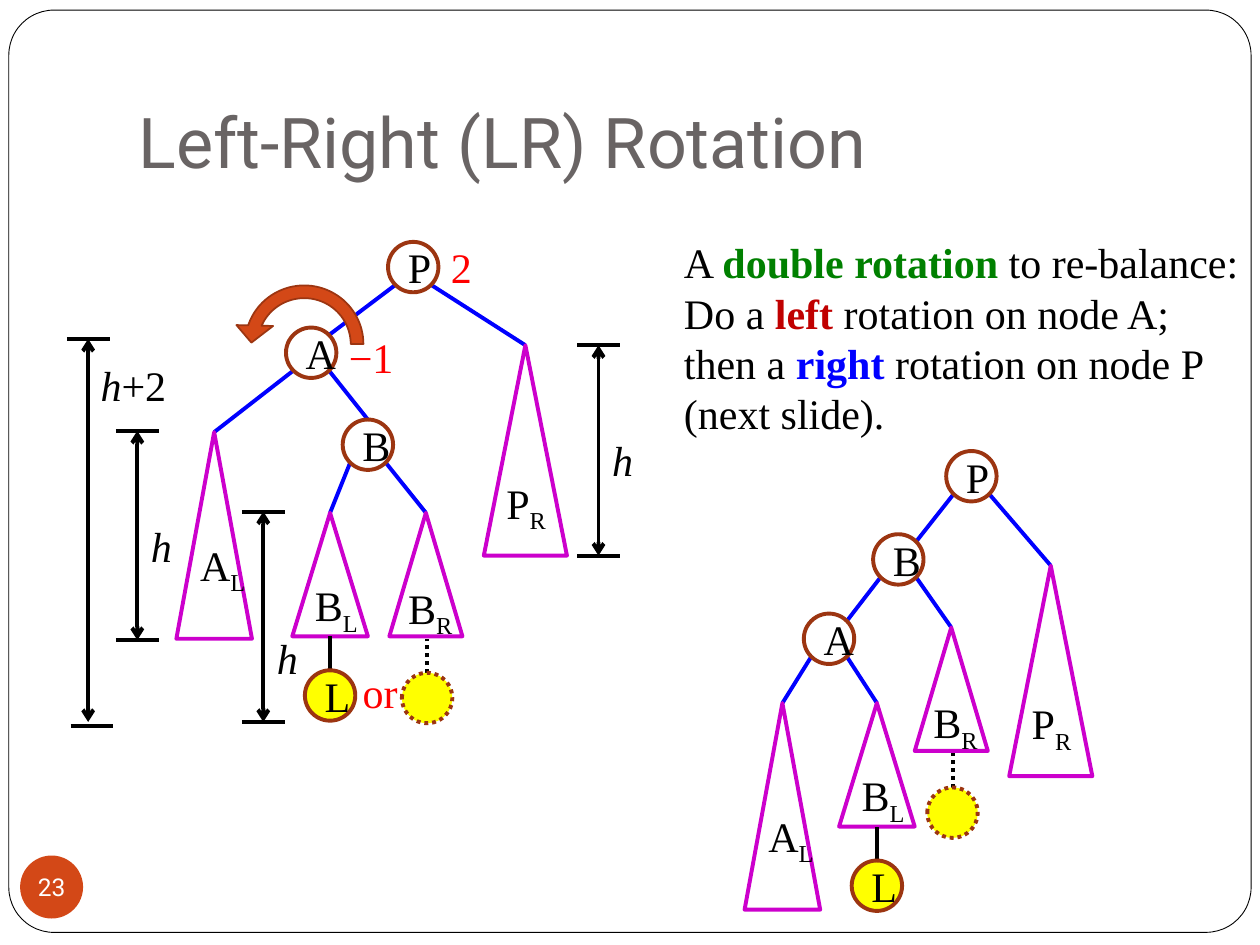
import pptx
import pptx.util
import pptx.oxml.ns
import pptx.dml.color
import pptx.enum.dml
import pptx.enum.shapes
import pptx.enum.text
import lxml.etree

SHAPE = pptx.enum.shapes.MSO_SHAPE
ANCHOR = pptx.enum.text.MSO_ANCHOR
ALIGN = pptx.enum.text.PP_ALIGN

THEME = {
    "title_font": "Roboto", "body_font": "Times New Roman",
    "title_size": 40, "body_size": 24, "number_size": 14,
    "line": 2.25, "thin": 0.5, "arrow_line": 1,
    "white": "FFFFFF", "black": "000000", "title": "696464",
    "accent": "D34817", "ring": "9C3511", "subtree": "CC00CC",
    "edge": "0000FF", "leaf": "FFFF00", "red": "FF0000",
    "green": "008000", "dark_red": "C00000", "blue": "0000FF",
}

# Content; positions are in inches and converted by length()
TITLE = "Left-Right (LR) Rotation"
PAGE_NUMBER = "23"
DESCRIPTION = [
    [("A ", {}), ("double rotation ", {"color": "green", "bold": True}),
     ("to re-balance:", {})],
    [("Do a ", {}), ("left", {"color": "dark_red", "bold": True}),
     (" rotation on node A;", {}), ("\n", {}),
     ("then a ", {}), ("right", {"color": "blue", "bold": True}),
     (" rotation on node P", {}), ("\n", {}), ("(next slide).", {})],
]

# Subtree: width, height, label offset from apex, label width
SUBTREES = {
    "AL": (0.6, 1.64, -0.21, 0.8, 0.56),
    "PR": (0.66, 1.67, -0.25, 1.0, 0.57),
    "BL": (0.6, 0.98, -0.22, 0.48, 0.55),
    "BR": (0.58, 0.98, -0.24, 0.5, 0.57),
}

# Node centres, subtree apexes, and edges with the side they arrive on
TREES = [
    {"nodes": {"P": (3.28, 2.12), "A": (2.47, 2.8), "B": (2.92, 3.53)},
     "subtrees": {"AL": (1.7, 3.43), "PR": (4.17, 2.74),
                  "BL": (2.62, 4.07), "BR": (3.38, 4.07)},
     "edges": [("P", "left", "A", "right"), ("P", "right", "PR", "top"),
               ("A", "left", "AL", "top"), ("A", "right", "B", "top"),
               ("B", "left", "BL", "top"), ("B", "right", "BR", "top")]},
    {"nodes": {"P": (7.71, 3.78), "B": (7.13, 4.44), "A": (6.58, 5.07)},
     "subtrees": {"AL": (6.21, 5.58), "PR": (8.34, 4.49),
                  "BL": (6.96, 5.58), "BR": (7.55, 4.98)},
     "edges": [("P", "left", "B", "right"), ("P", "right", "PR", "top"),
               ("B", "left", "A", "right"), ("B", "right", "BR", "top"),
               ("A", "left", "AL", "top"), ("A", "right", "BL", "top")]},
]

# Height gauges: x, top, bottom, suffix, label box, shift of the bottom cap
GAUGES = [
    (4.75, 2.74, 4.41, "", (4.76, 3.4, 0.46), (0, 0)),
    (1.09, 3.42, 5.08, "", (1.1, 4.08, 0.46), (0, 0)),
    (2.09, 4.06, 5.73, "", (2.1, 4.97, 0.46), (0, 0)),
    (0.7, 2.69, 5.73, "+2", (0.7, 2.8, 0.84), (0.03, 0.03)),
]
RED_LABELS = [("or", 2.78, 5.24, 0.51), ("−1", 2.67, 2.58, 0.58),
              ("2", 3.48, 1.87, 0.36)]

RADIUS = 0.2
DIAGONAL = 0.14
STEM = 0.27
CAP = 0.17

deck = pptx.Presentation()


def length(inches):
    return pptx.util.Cm(inches * 2.54)


deck.slide_width, deck.slide_height = length(10), length(7.5)
page = deck.slides.add_slide(deck.slide_layouts[6])


def rgb(name):
    return pptx.dml.color.RGBColor.from_string(THEME[name])


def style_span(span, color="black", size="body_size", font="body_font",
               bold=None, italic=None, baseline=None):
    span.font.name = THEME[font]
    span.font.size = pptx.util.Pt(THEME[size])
    span.font.color.rgb = rgb(color)
    span.font.bold, span.font.italic = bold, italic
    if baseline:
        span.font._element.set("baseline", str(baseline))


def style_line(line, color, width="line", dotted=False):
    line.color.rgb = rgb(color)
    line.width = pptx.util.Pt(THEME[width])
    if dotted:
        line.dash_style = pptx.enum.dml.MSO_LINE.ROUND_DOT


def add_text(left, top, width, height, paragraphs):
    box = page.shapes.add_textbox(*map(length, (left, top, width, height)))
    frame = box.text_frame
    frame.word_wrap = False
    frame.auto_size = pptx.enum.text.MSO_AUTO_SIZE.SHAPE_TO_FIT_TEXT
    for index, spans in enumerate(paragraphs):
        para = frame.add_paragraph() if index else frame.paragraphs[0]
        for text, style in spans:
            if text == "\n":
                para.add_line_break()
                continue
            span = para.add_run()
            span.text = text
            style_span(span, **style)
    return box


def add_figure(kind, left, top, width, height, fill=None, line=None,
               line_width="line", dotted=False):
    shape = page.shapes.add_shape(
        kind, *map(length, (left, top, width, height)))
    shape.shadow.inherit = False
    if fill:
        shape.fill.solid()
        shape.fill.fore_color.rgb = rgb(fill)
    else:
        shape.fill.background()
    if line:
        style_line(shape.line, line, line_width, dotted)
    else:
        shape.line.fill.background()
    return shape


def add_line(start, end, color="black", dotted=False, arrows=False):
    line = page.shapes.add_connector(
        pptx.enum.shapes.MSO_CONNECTOR.STRAIGHT,
        *map(length, (*start, *end)))
    style_line(line.line, color, dotted=dotted)
    if arrows:
        outline = line.line._get_or_add_ln()
        for tag in ("a:headEnd", "a:tailEnd"):
            lxml.etree.SubElement(
                outline, pptx.oxml.ns.qn(tag), {"type": "arrow"})
    lxml.etree.SubElement(
        line._element.spPr, pptx.oxml.ns.qn("a:effectLst"))


def add_node(center, text="", fill=None, dotted=False):
    x, y = center
    node = add_figure(SHAPE.OVAL, x - RADIUS, y - RADIUS, 2 * RADIUS,
                      2 * RADIUS, fill, "ring", dotted=dotted)
    if text:
        para = node.text_frame.paragraphs[0]
        para.text = text
        para.alignment = ALIGN.CENTER
        style_span(para.runs[0])


def add_tree(nodes, subtrees, edges):
    ports = {"left": (-DIAGONAL, DIAGONAL), "right": (DIAGONAL, DIAGONAL)}
    for parent, side, child, arrival in edges:
        x, y = nodes[parent]
        dx, dy = ports[side]
        if child in subtrees:
            end = subtrees[child]
        else:
            cx, cy = nodes[child]
            end = ((cx, cy - RADIUS) if arrival == "top"
                   else (cx + DIAGONAL, cy - DIAGONAL))
        add_line((x + dx, y + dy), end, "edge")
    for name, center in nodes.items():
        add_node(center, name)
    for name, (x, y) in subtrees.items():
        width, height, dx, dy, label_width = SUBTREES[name]
        add_figure(SHAPE.ISOSCELES_TRIANGLE, x - width / 2, y, width, height,
                   line="subtree")
        add_text(x + dx, y + dy, label_width, 0.49,
                 [[(name[0], {}), (name[1], {"baseline": -25000})]])
        # New leaf hanging below either subtree of B
        if name[0] == "B":
            dotted = name == "BR"
            x, base = (x + 0.01, y + height + 0.02) if dotted else (x, y + height)
            add_line((x, base + STEM), (x, base), dotted=dotted)
            add_node((x, base + STEM + RADIUS), "" if dotted else "L",
                     "leaf", dotted)


# Slide frame, title and page number
frame = add_figure(SHAPE.ROUNDED_RECTANGLE, 0.07, 0.08, 9.86, 7.32,
                   "white", "black", "thin")
frame.adjustments[0] = 0.049

title = add_text(1, 0.3, 8.5, 1.25, [[(TITLE, {
    "color": "title", "size": "title_size", "font": "title_font"})]])
title.text_frame.auto_size = pptx.enum.text.MSO_AUTO_SIZE.NONE
title.text_frame.word_wrap = True
title.text_frame.vertical_anchor = ANCHOR.BOTTOM
title.text_frame.margin_bottom = length(0.1)

badge = add_figure(SHAPE.OVAL, 0.16, 6.79, 0.5, 0.5, "accent")
badge_text = badge.text_frame
badge_text.margin_left = badge_text.margin_right = 0
badge_text.margin_top = badge_text.margin_bottom = 0
badge_text.word_wrap = False
badge_text.text = PAGE_NUMBER
badge_text.paragraphs[0].alignment = ALIGN.CENTER
style_span(badge_text.paragraphs[0].runs[0], "white", "number_size", "title_font")

# Trees before and after the left rotation
for tree in TREES:
    add_tree(**tree)

# Height gauges
for x, top, bottom, suffix, (left, label_top, width), (dx, dy) in GAUGES:
    add_line((x, top), (x, bottom), arrows=True)
    for cap_x, cap_y in ((x, top), (x + dx, bottom + dy)):
        add_line((cap_x - CAP, cap_y), (cap_x + CAP, cap_y))
    label = [("h", {"italic": True})] + ([(suffix, {})] if suffix else [])
    add_text(left, label_top, width, 0.49, [label])

# Explanation, rotation arrow and red labels
add_text(5.33, 1.83, 4.88, 1.66, DESCRIPTION)
turn = add_figure(SHAPE.CIRCULAR_ARROW, 1.85, 2.17, 1.13, 1.12,
                  "accent", "ring", "arrow_line")
for index, value in enumerate((0.09, 11.42, 203.72, 108, 0.13)):
    turn.adjustments[index] = value
turn._element.spPr.xfrm.set("flipH", "1")
for text, left, top, width in RED_LABELS:
    add_text(left, top, width, 0.49, [[(text, {"color": "red"})]])

deck.save("out.pptx")
